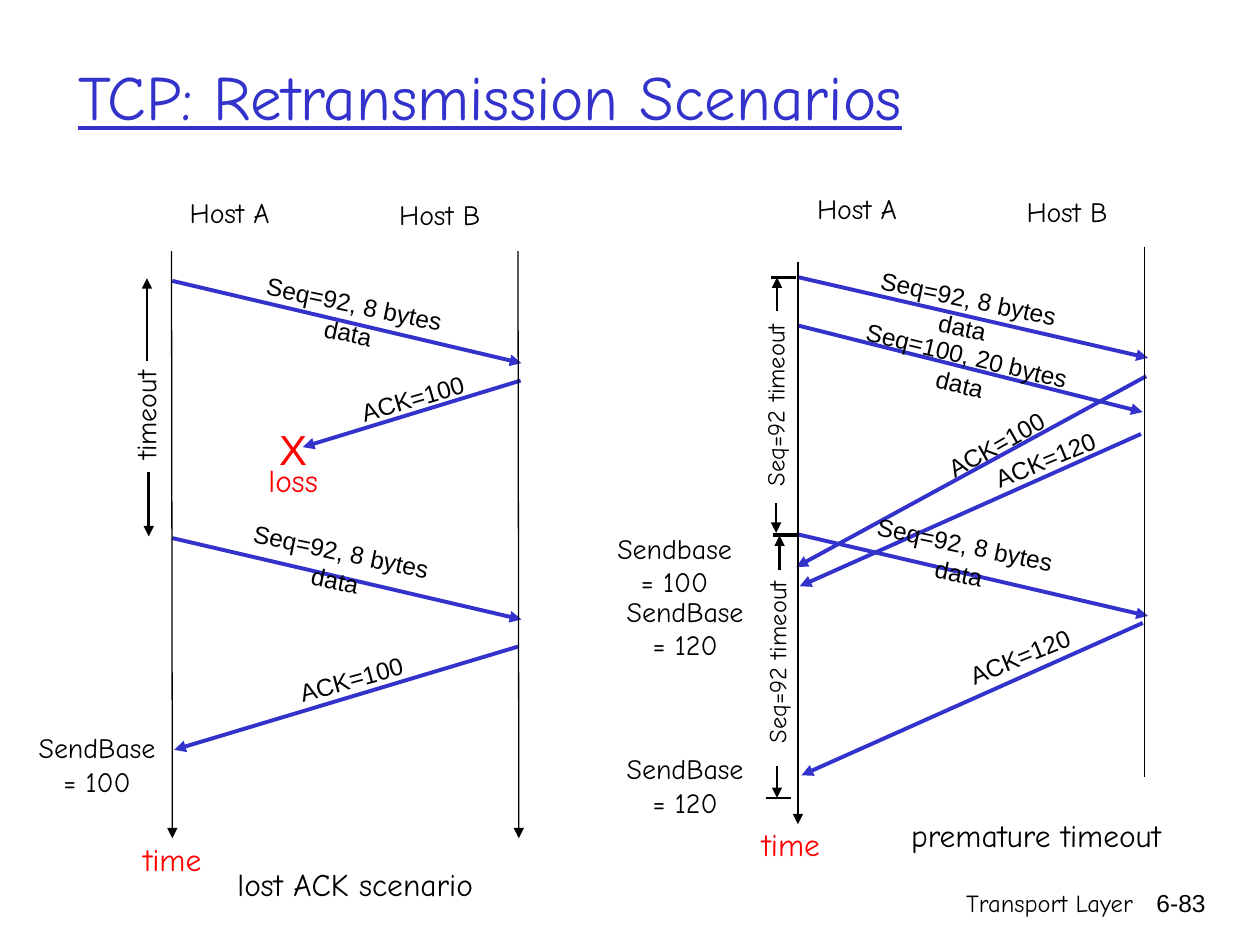
"""Build a slide of TCP retransmission scenarios as two sequence diagrams."""
import pptx
import pptx.dml.color
import pptx.enum.shapes
import pptx.enum.text
import pptx.oxml.ns
import pptx.util
from lxml import etree

BLUE = pptx.dml.color.RGBColor(0x33, 0x33, 0xCC)
BLACK = pptx.dml.color.RGBColor(0, 0, 0)
RED = pptx.dml.color.RGBColor(0xFF, 0, 0)
WHITE = pptx.dml.color.RGBColor(0xFF, 0xFF, 0xFF)
COMIC = "Comic Neue"
ARIAL = "Arial"
CENTER = pptx.enum.text.PP_ALIGN.CENTER
RIGHT = pptx.enum.text.PP_ALIGN.RIGHT
Pt = pptx.util.Pt

presentation = pptx.Presentation()
presentation.slide_width = Pt(720)
presentation.slide_height = Pt(540)
slide = presentation.slides.add_slide(presentation.slide_layouts[5])


def add_line(points, color, width, arrow=True):
    connector = slide.shapes.add_connector(
        pptx.enum.shapes.MSO_CONNECTOR.STRAIGHT, *[Pt(value) for value in points])
    connector.line.color.rgb = color
    connector.line.width = Pt(width)
    if arrow:
        line = connector.line._get_or_add_ln()
        etree.SubElement(line, pptx.oxml.ns.qn("a:tailEnd"), type="triangle")
    properties = connector._element.spPr
    etree.SubElement(properties, pptx.oxml.ns.qn("a:effectLst"))


def add_label(text, box, size, font=COMIC, color=BLACK, rotation=0, align=CENTER, wrap=False):
    shape = slide.shapes.add_textbox(*[Pt(value) for value in box])
    shape.rotation = rotation
    shape.text_frame.word_wrap = wrap
    shape.text_frame.text = text
    for paragraph in shape.text_frame.paragraphs:
        paragraph.alignment = align
        for run in paragraph.runs:
            run.font.size = Pt(size)
            run.font.name = font
            run.font.color.rgb = color


title = slide.shapes.title
title.left, title.top, title.width, title.height = Pt(37.5), Pt(18.5), Pt(612), Pt(71.5)
title.text_frame.text = "TCP: Retransmission Scenarios"
title.text_frame.vertical_anchor = pptx.enum.text.MSO_ANCHOR.MIDDLE
title_paragraph = title.text_frame.paragraphs[0]
title_paragraph.alignment = pptx.enum.text.PP_ALIGN.LEFT
title_font = title_paragraph.runs[0].font
title_font.size = Pt(36)
title_font.name = COMIC
title_font.underline = True
title_font.color.rgb = BLUE

lost_ack_messages = [
    (98.5, 160.5, 298, 207.5), (297.5, 217.5, 173, 255.5),
    (98.5, 307.5, 298, 354), (296, 369.5, 99.5, 428.5),
]
premature_messages = [
    (655, 215, 455, 324), (652, 248, 457, 335), (456.5, 158.5, 656, 204.5),
    (456, 186, 653, 235.5), (456.5, 305.5, 656, 352), (653, 356, 458, 443),
]
for message in lost_ack_messages + premature_messages:
    add_line(message, BLUE, 2.25)

for timeline in [(98, 143.5, 98.5, 479), (296, 143.5, 296.5, 479), (456, 150, 456, 471)]:
    add_line(timeline, BLACK, 0.75)
add_line((654, 141, 654, 444), BLACK, 0.75, arrow=False)

for left, top, width, height in [
    (430.5, 474, 40.5, 19.5), (437, 179.5, 16, 103.5), (438.5, 326, 16, 103.5),
]:
    backing = slide.shapes.add_shape(
        pptx.enum.shapes.MSO_SHAPE.RECTANGLE, Pt(left), Pt(top), Pt(width), Pt(height))
    backing.shadow.inherit = False
    backing.fill.solid()
    backing.fill.fore_color.rgb = WHITE
    backing.line.fill.background()

for x, start, end in [
    (84, 206.5, 159), (85, 269.5, 306.5), (444, 178, 158.5),
    (443.5, 287.5, 304.5), (445.5, 325.5, 306), (444, 438, 456),
]:
    add_line((x, start, x, end), BLACK, 1.5)
for right, y in [(455, 158.5), (456.5, 305.5), (456.5, 306), (452, 456)]:
    add_line((right, y, right - 14.5, y), BLACK, 1.5, arrow=False)

for text, left, top in [
    ("Host A", 98, 108), ("Host B", 218, 109.5), ("Host A", 456.5, 106), ("Host B", 576.5, 107.5),
]:
    add_label(text, (left, top, 66.5, 26.5), 16)

for left, top in [(129, 161.5), (121.5, 303), (480, 158.5), (478, 299)]:
    add_label("Seq=92, 8 bytes data", (left, top, 147, 24), 14, ARIAL, rotation=11.8, wrap=True)
add_label("Seq=100, 20 bytes data", (471.5, 191, 162, 24), 14, ARIAL, rotation=13.5, wrap=True)

for text, left, top, rotation in [
    ("ACK=100", 198, 215.5, 343.6), ("ACK=100", 163, 376, 344.6), ("ACK=100", 531.5, 242, 330.5),
    ("ACK=120", 559.5, 250.5, 337.7), ("ACK=120", 545, 363, 337.7),
]:
    add_label(text, (left, top, 75.5, 24), 14, ARIAL, rotation=rotation)

add_label("timeout", (47, 224, 72, 26.5), 16, rotation=270)
for left, top in [(384, 219.5), (385, 366.5)]:
    add_label("Seq=92 timeout", (left, top, 117.5, 24), 14, rotation=270)

for text, left, top in [
    ("SendBase\n= 100", 12, 414), ("Sendbase\n= 100", 342, 300),
    ("SendBase\n= 120", 348, 336), ("SendBase\n= 120", 348, 426),
]:
    add_label(text, (left, top, 87, 46), 16)

add_label("X", (152.5, 238.5, 30, 36), 24, ARIAL, RED)
for text, left, top, width, color in [
    ("loss", 144.5, 260, 46, RED), ("time", 72.5, 476.5, 52, RED), ("time", 426, 468, 52, RED),
    ("lost ACK scenario", 122.5, 490.5, 161, BLACK), ("premature timeout", 506, 463, 172, BLACK),
]:
    add_label(text, (left, top, width, 29), 18, color=color)

add_label("Transport Layer", (426, 504, 228.5, 36), 14, align=RIGHT, wrap=True)
add_label("6-83", (643, 504, 53, 36), 14, ARIAL, align=RIGHT, wrap=True)

presentation.save("out.pptx")
